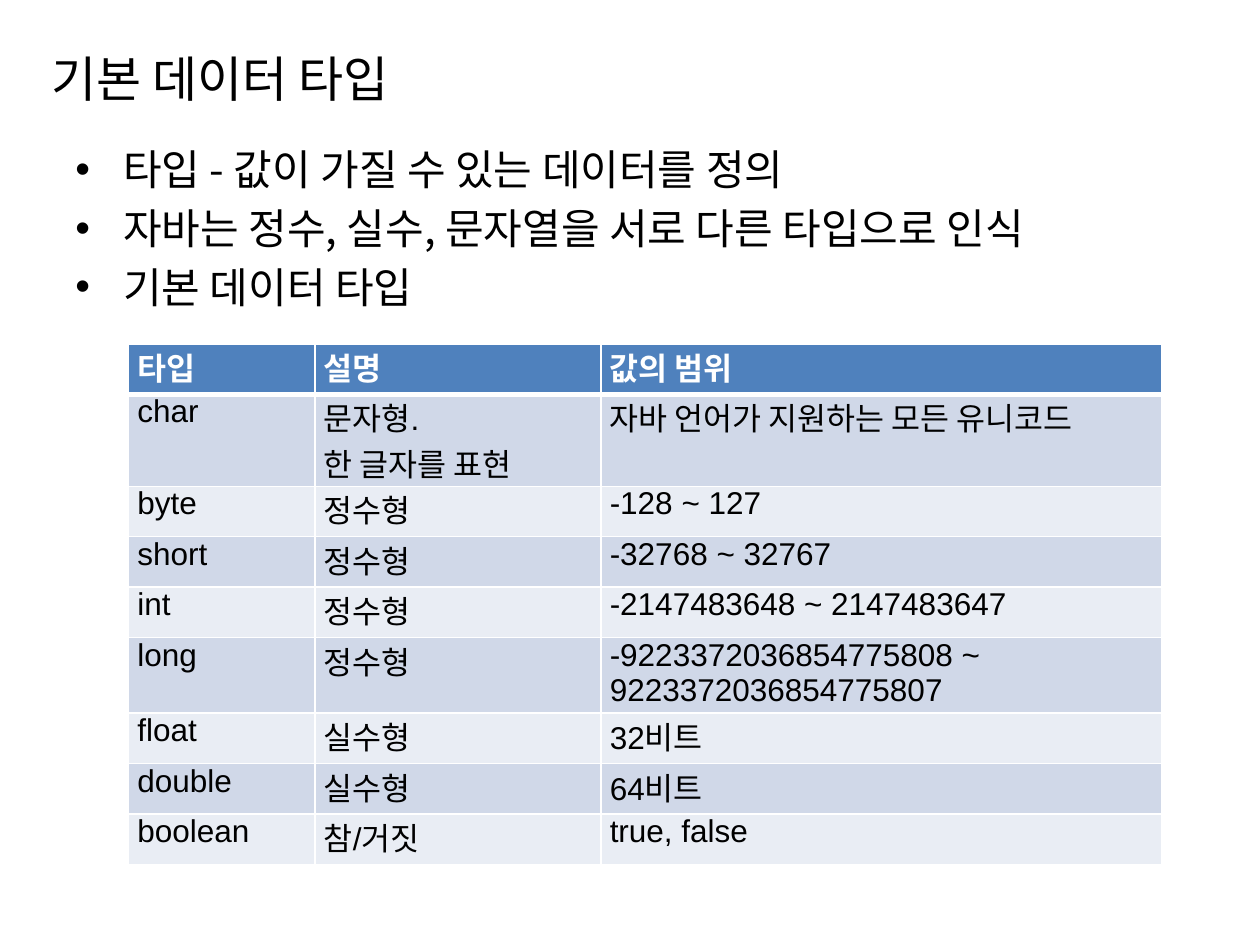
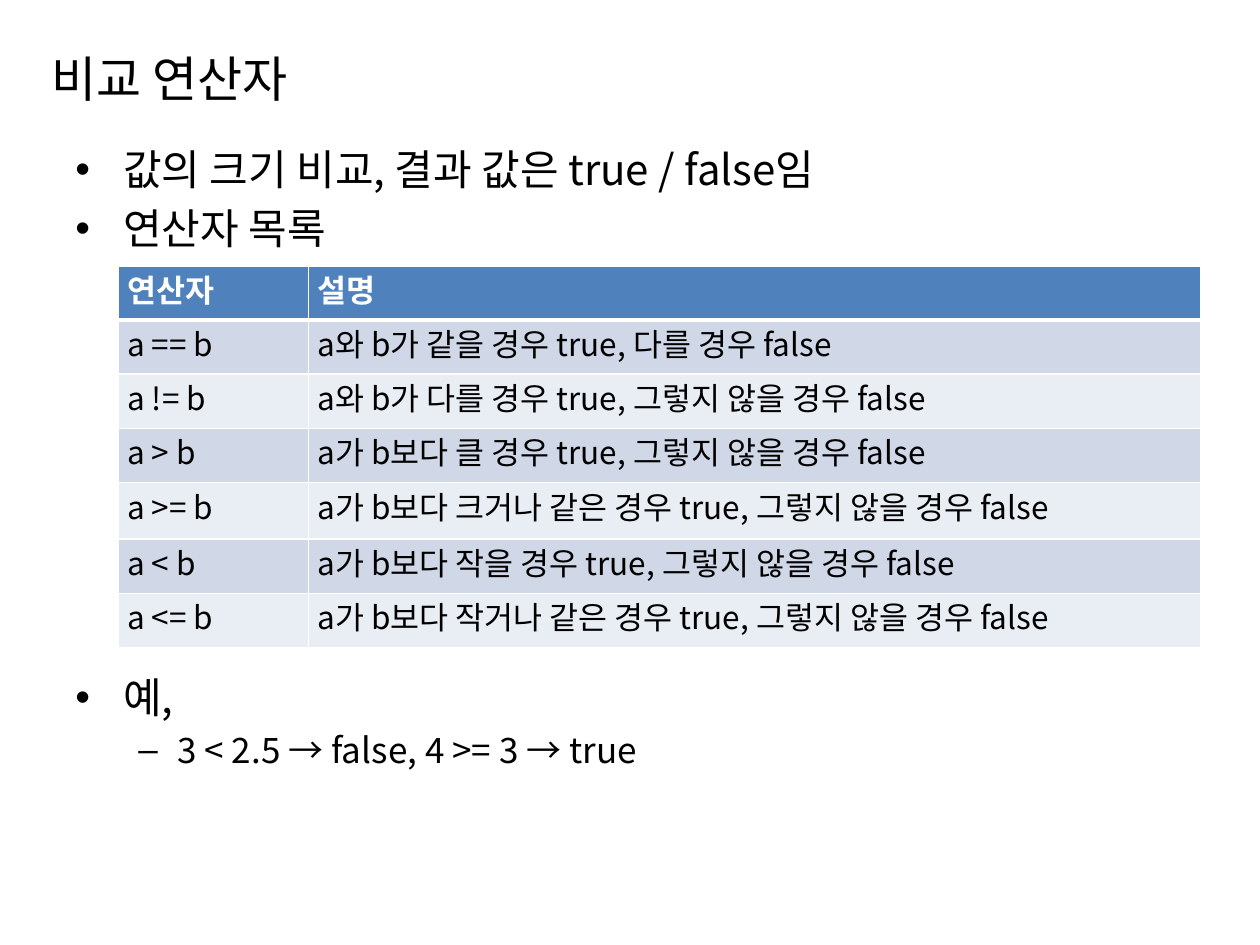
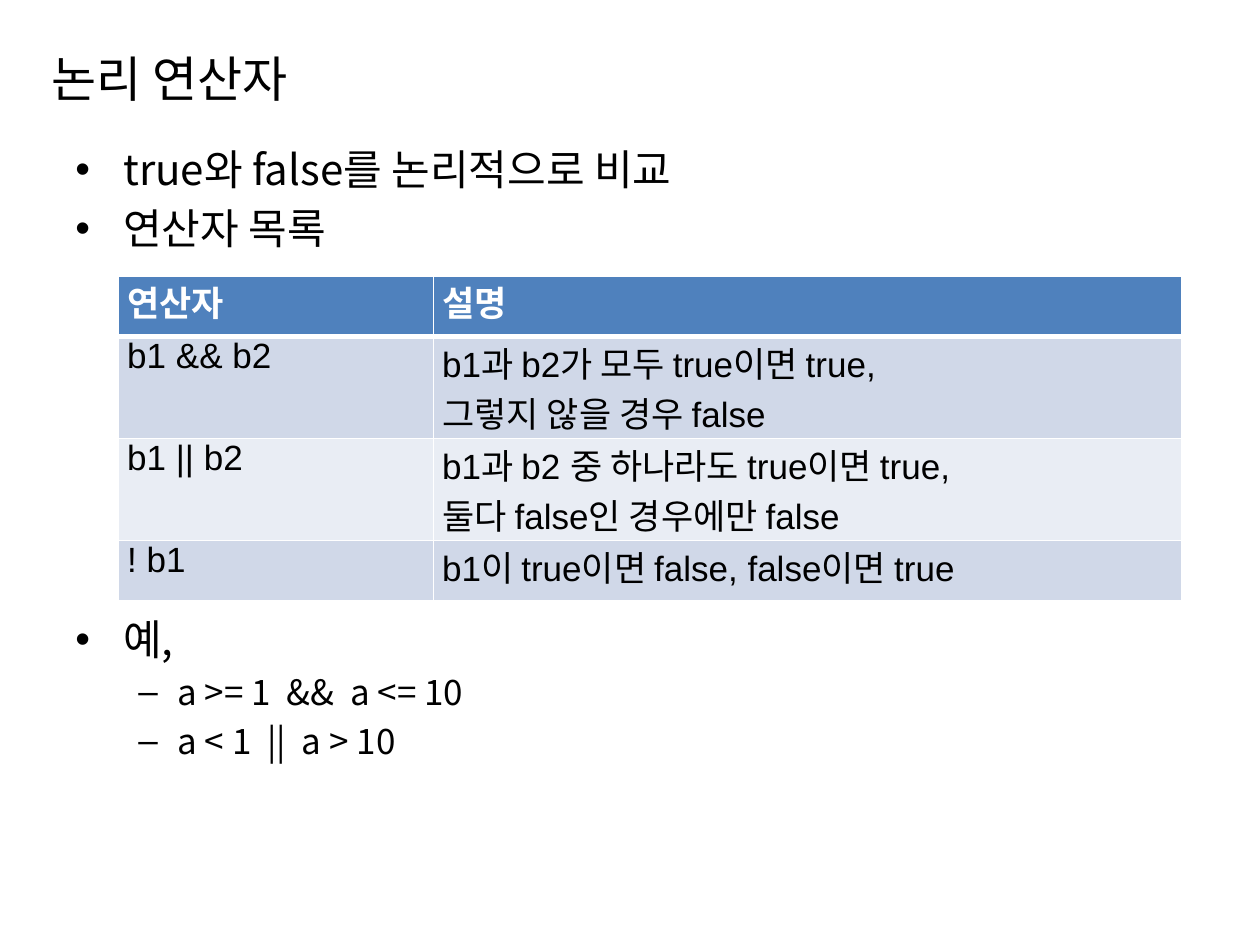
from lxml.etree import SubElement
from pptx import Presentation
from pptx.dml.color import RGBColor
from pptx.enum.text import MSO_ANCHOR, PP_ALIGN
from pptx.oxml.ns import qn
from pptx.util import Inches, Pt

COLORS = {
    "text": "000000",
    "white": "FFFFFF",
    "header": "4F81BD",
    "odd": "D0D8E8",
    "even": "E9EDF4",
}
KOREAN = "Noto Sans CJK KR"
LATIN = "Arial"
TITLE_AREA = (0.31, 0.3, 9.45, 0.64)
BODY_LEFT, BODY_TOP, BODY_WIDTH = 0.5, 1.09, 9
LEVELS = [
    {"size": 24, "mark": "•", "left": 0.38, "hang": 0.38},
    {"size": 20, "mark": "–", "left": 0.81, "hang": 0.31},
]
GAP_SHARE = 0.2
THIN, THICK = 1, 3

SLIDES = [
    {
        "title": "기본 데이터 타입",
        "lists": [
            (BODY_TOP, [
                (0, "타입 - 값이 가질 수 있는 데이터를 정의"),
                (0, "자바는 정수, 실수, 문자열을 서로 다른 타입으로 인식"),
                (0, "기본 데이터 타입"),
            ]),
        ],
        "table": {
            "at": (1.02, 2.73), "font": LATIN, "size": 18,
            "columns": [1.48, 2.27, 4.45],
            "heights": [0.4, 0.73] + [0.4] * 3 + [0.57] + [0.4] * 3,
            "rows": [
                ("타입", "설명", "값의 범위"),
                ("char", "문자형.\n한 글자를 표현", "자바 언어가 지원하는 모든 유니코드"),
                ("byte", "정수형", "-128 ~ 127"),
                ("short", "정수형", "-32768 ~ 32767"),
                ("int", "정수형", "-2147483648 ~ 2147483647"),
                ("long", "정수형", "-9223372036854775808 ~\n9223372036854775807"),
                ("float", "실수형", "32비트"),
                ("double", "실수형", "64비트"),
                ("boolean", "참/거짓", "true, false"),
            ],
        },
    },
    {
        "title": "비교 연산자",
        "lists": [
            (BODY_TOP, [
                (0, "값의 크기 비교, 결과 값은 true / false임"),
                (0, "연산자 목록"),
            ]),
            (5.28, [
                (0, "예,"),
                (1, "3 < 2.5 → false, 4 >= 3 → true"),
            ]),
        ],
        "table": {
            "at": (0.94, 2.11), "font": KOREAN, "size": 18,
            "columns": [1.51, 7.08], "heights": [0.43] * 4 + [0.45] + [0.43] * 2,
            "rows": [
                ("연산자", "설명"),
                ("a == b", "a와 b가 같을 경우 true, 다를 경우 false"),
                ("a != b", "a와 b가 다를 경우 true, 그렇지 않을 경우 false"),
                ("a > b", "a가 b보다 클 경우 true, 그렇지 않을 경우 false"),
                ("a >= b", "a가 b보다 크거나 같은 경우 true, 그렇지 않을 경우 false"),
                ("a < b", "a가 b보다 작을 경우 true, 그렇지 않을 경우 false"),
                ("a <= b", "a가 b보다 작거나 같은 경우 true, 그렇지 않을 경우 false"),
            ],
        },
    },
    {
        "title": "논리 연산자",
        "lists": [
            (BODY_TOP, [
                (0, "true와 false를 논리적으로 비교"),
                (0, "연산자 목록"),
            ]),
            (4.82, [
                (0, "예,"),
                (1, "a >= 1  &&  a <= 10"),
                (1, "a < 1  ||  a > 10"),
            ]),
        ],
        "table": {
            "at": (0.94, 2.19), "font": LATIN, "size": 20,
            "columns": [2.5, 5.94], "heights": [0.48, 0.81, 0.81, 0.48],
            "rows": [
                ("연산자", "설명"),
                ("b1 && b2", "b1과 b2가 모두 true이면 true,\n그렇지 않을 경우 false"),
                ("b1 || b2", "b1과 b2 중 하나라도 true이면 true,\n둘다 false인 경우에만 false"),
                ("! b1", "b1이 true이면 false, false이면 true"),
            ],
        },
    },
]


def rgb(name):
    return RGBColor.from_string(COLORS[name])


def add_span(para, text, size, font=KOREAN, color="text", bold=False):
    span = para.add_run()
    span.text = text
    span.font.size = Pt(size)
    span.font.bold = bold
    span.font.color.rgb = rgb(color)
    span.font.name = font
    SubElement(span.font._element, qn("a:ea"), typeface=KOREAN)


def next_para(frame, index):
    return frame.add_paragraph() if index else frame.paragraphs[0]


def add_frame(page, left, top, width, height):
    box = page.shapes.add_textbox(*map(Inches, (left, top, width, height)))
    box.text_frame.word_wrap = True
    return box.text_frame


def add_title(page, text):
    frame = add_frame(page, *TITLE_AREA)
    frame.vertical_anchor = MSO_ANCHOR.MIDDLE
    add_span(frame.paragraphs[0], text, 28)


def add_list(page, top, items):
    frame = add_frame(page, BODY_LEFT, top, BODY_WIDTH, 0.1 + 0.46 * len(items))
    for index, (depth, text) in enumerate(items):
        level = LEVELS[depth]
        para = next_para(frame, index)
        para.level = depth
        para.space_before = Pt(level["size"] * GAP_SHARE)
        props = para._p.get_or_add_pPr()
        props.set("marL", str(Inches(level["left"])))
        props.set("indent", str(-Inches(level["hang"])))
        SubElement(props, qn("a:buFont"), typeface=LATIN)
        SubElement(props, qn("a:buChar"), char=level["mark"])
        add_span(para, text, level["size"])


def add_borders(cell, row):
    props = cell._tc.get_or_add_tcPr()
    widths = {
        "lnL": THIN,
        "lnR": THIN,
        "lnT": THICK if row == 1 else THIN,
        "lnB": THICK if row == 0 else THIN,
    }
    for side, width in widths.items():
        line = SubElement(props, qn(f"a:{side}"), w=str(Pt(width)))
        fill = SubElement(line, qn("a:solidFill"))
        SubElement(fill, qn("a:srgbClr"), val=COLORS["white"])


def fill_cell(cell, text, row, font, size):
    cell.margin_left = cell.margin_right = Inches(0.07)
    cell.margin_top = cell.margin_bottom = 0
    add_borders(cell, row)
    cell.fill.solid()
    band = "header" if row == 0 else ("even", "odd")[row % 2]
    cell.fill.fore_color.rgb = rgb(band)
    for index, line in enumerate(text.split("\n")):
        para = next_para(cell.text_frame, index)
        para.alignment = PP_ALIGN.JUSTIFY
        add_span(para, line, size, font, "text" if row else "white", row == 0)


def add_grid(page, content):
    columns, heights, rows = content["columns"], content["heights"], content["rows"]
    area = (*content["at"], sum(columns), sum(heights))
    grid = page.shapes.add_table(len(rows), len(columns), *map(Inches, area)).table
    for column, width in zip(grid.columns, columns):
        column.width = Inches(width)
    for row, (height, texts) in enumerate(zip(heights, rows)):
        grid.rows[row].height = Inches(height)
        for column, text in enumerate(texts):
            fill_cell(grid.cell(row, column), text, row, content["font"], content["size"])


def main():
    deck = Presentation()
    deck.slide_width, deck.slide_height = Inches(10), Inches(7.5)
    for content in SLIDES:
        page = deck.slides.add_slide(deck.slide_layouts[6])
        add_title(page, content["title"])
        for top, items in content["lists"]:
            add_list(page, top, items)
        add_grid(page, content["table"])
    deck.save("out.pptx")


if __name__ == "__main__":
    main()
